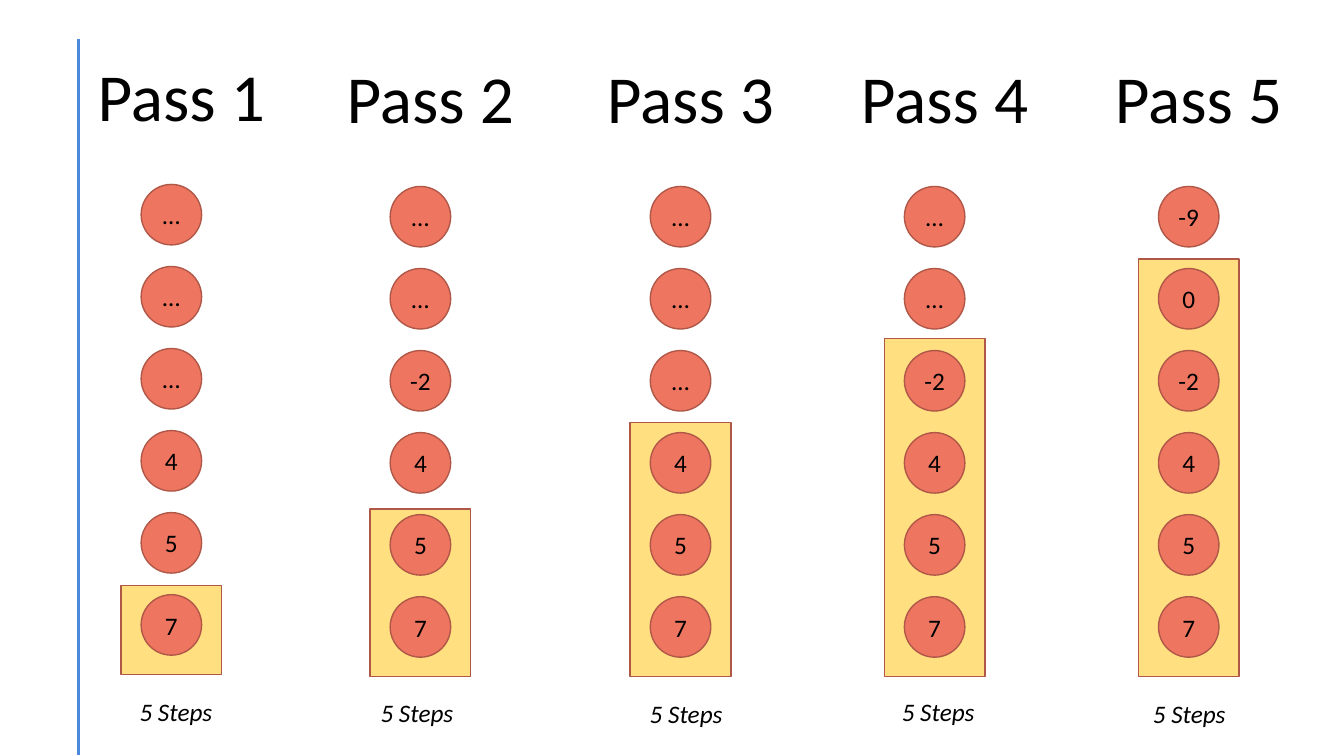
from dataclasses import dataclass

from lxml.etree import SubElement
from pptx import Presentation
from pptx.dml.color import RGBColor
from pptx.enum.shapes import MSO_CONNECTOR as Connector, MSO_SHAPE as Shape
from pptx.enum.text import MSO_ANCHOR as Anchor, PP_ALIGN as Align
from pptx.oxml.ns import qn
from pptx.util import Inches, Pt

# Content: heading, values from top to bottom, caption
PASSES = [
    ("Pass 1", ["…", "…", "…", "4", "5", "7"], "5 Steps"),
    ("Pass 2", ["…", "…", "-2", "4", "5", "7"], "5 Steps"),
    ("Pass 3", ["…", "…", "…", "4", "5", "7"], "5 Steps"),
    ("Pass 4", ["…", "…", "-2", "4", "5", "7"], "5 Steps"),
    ("Pass 5", ["-9", "0", "-2", "4", "5", "7"], "5 Steps"),
]
# Placement per pass, inches: column left, column top, sorted area top, caption left and top
PLACES = [
    (0.87, 0.26, 5.81, 1.21, 6.86),
    (3.34, 0.28, 5.05, 3.60, 6.87),
    (5.92, 0.28, 4.19, 6.27, 6.88),
    (8.44, 0.28, 3.36, 8.77, 6.86),
    (10.96, 0.28, 2.57, 11.26, 6.88),
]

# Offsets and sizes inside a column, inches
HEADING_WIDTH, HEADING_HEIGHT = 2.1, 1.45
SORTED_LEFT, SORTED_WIDTH, SORTED_BOTTOM = 0.33, 1.0, 6.43
BALL_LEFT, BALL_TOP, BALL_SIZE, BALL_STEP = 0.53, 1.57, 0.6, 0.814
CAPTION_WIDTH, CAPTION_HEIGHT = 1.07, 0.4


@dataclass(frozen=True)
class Theme:
    font: str = "Calibri"
    heading_size: int = 48
    body_size: int = 18
    text: str = "000000"
    ball: str = "EE7661"
    outline: str = "B05748"
    sorted_area: str = "FFC000"
    sorted_alpha: int = 50
    rule: str = "4A89DC"


THEME = Theme()


def write(shape, text, size, align, anchor, italic=False):
    frame = shape.text_frame
    frame.text = text
    frame.vertical_anchor = anchor
    paragraph = frame.paragraphs[0]
    paragraph.alignment = align
    font = paragraph.runs[0].font
    font.name, font.size, font.italic = THEME.font, Pt(size), italic
    font.color.rgb = RGBColor.from_string(THEME.text)
    return paragraph


def add_figure(shapes, kind, left, top, width, height, fill):
    shape = shapes.add_shape(kind, Inches(left), Inches(top), Inches(width), Inches(height))
    shape.shadow.inherit = False
    shape.fill.solid()
    shape.fill.fore_color.rgb = RGBColor.from_string(fill)
    shape.line.color.rgb = RGBColor.from_string(THEME.outline)
    shape.line.width = Pt(1)
    return shape


def add_text(shapes, left, top, width, height):
    box = shapes.add_textbox(Inches(left), Inches(top), Inches(width), Inches(height))
    box.text_frame.word_wrap = True
    return box


def add_pass(slide, heading, values, left, top, sorted_top):
    shapes = slide.shapes.add_group_shape().shapes

    # Sorted area behind the balls
    area = add_figure(shapes, Shape.RECTANGLE, left + SORTED_LEFT, sorted_top,
                      SORTED_WIDTH, top + SORTED_BOTTOM - sorted_top, THEME.sorted_area)
    color = area.fill._xPr.find(qn("a:solidFill"))[0]
    SubElement(color, qn("a:alpha")).set("val", str(THEME.sorted_alpha * 1000))

    # Balls
    for row, value in enumerate(values):
        ball = add_figure(shapes, Shape.OVAL, left + BALL_LEFT,
                          top + BALL_TOP + row * BALL_STEP, BALL_SIZE, BALL_SIZE, THEME.ball)
        write(ball, value, THEME.body_size, Align.CENTER, Anchor.MIDDLE)
        ball.text_frame.word_wrap = False

    # Heading
    title = add_text(shapes, left, top, HEADING_WIDTH, HEADING_HEIGHT)
    write(title, heading, THEME.heading_size, Align.LEFT, Anchor.MIDDLE).line_spacing = 0.9


def main():
    presentation = Presentation()
    presentation.slide_width, presentation.slide_height = Inches(13.33), Inches(7.5)
    slide = presentation.slides.add_slide(presentation.slide_layouts[6])

    # Vertical rule at the left
    rule = slide.shapes.add_connector(Connector.STRAIGHT, Inches(0.78), Inches(0.39),
                                      Inches(0.78), Inches(7.49))
    rule.line.color.rgb = RGBColor.from_string(THEME.rule)
    rule.line.width = Pt(2)
    SubElement(rule._element.spPr, qn("a:effectLst"))

    # Pass columns
    for (heading, values, _), (left, top, sorted_top, *_) in zip(PASSES, PLACES):
        add_pass(slide, heading, values, left, top, sorted_top)

    # Captions in one group
    captions = slide.shapes.add_group_shape().shapes
    for (*_, caption), (*_, left, top) in zip(PASSES, PLACES):
        box = add_text(captions, left, top, CAPTION_WIDTH, CAPTION_HEIGHT)
        write(box, caption, THEME.body_size, Align.CENTER, Anchor.TOP, italic=True)

    presentation.save("out.pptx")


if __name__ == "__main__":
    main()
